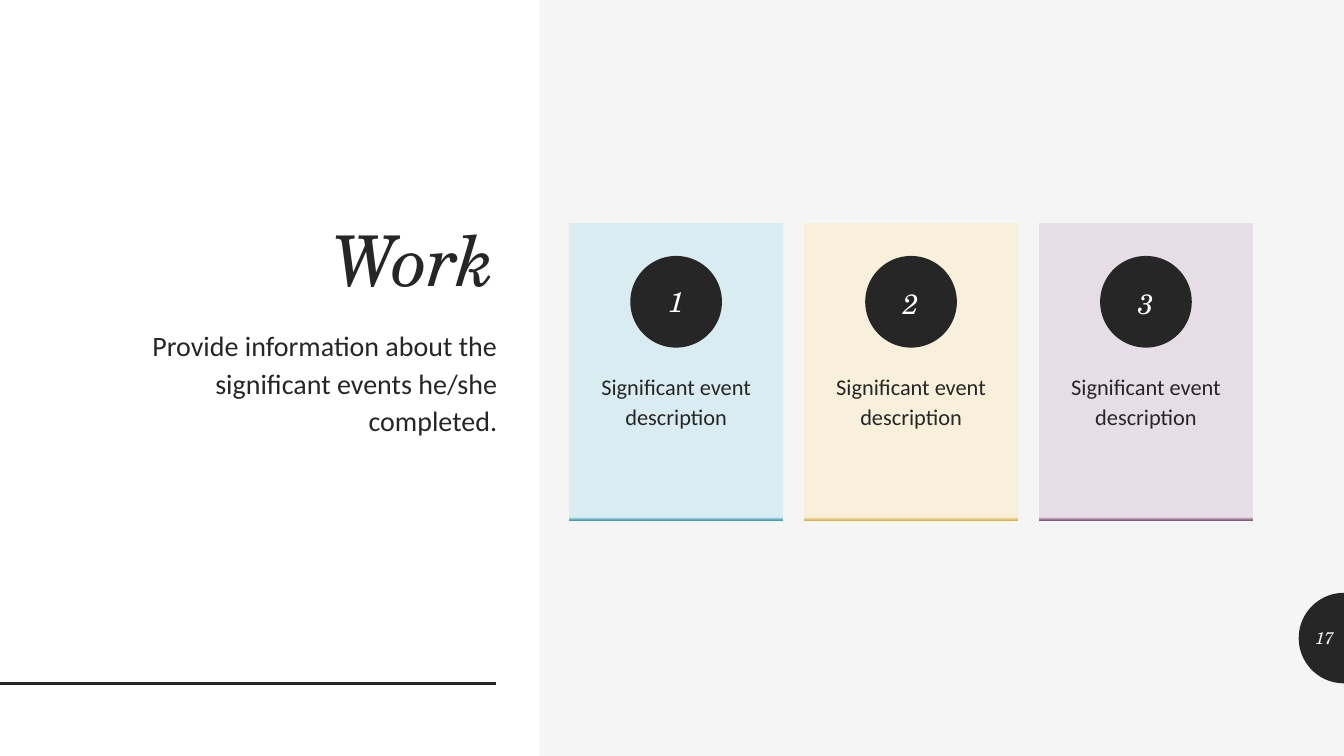
from copy import deepcopy
from math import cos, pi, sin

from lxml import etree
from pptx import Presentation
from pptx.dml.color import RGBColor
from pptx.enum.shapes import MSO_CONNECTOR, MSO_SHAPE as Preset
from pptx.enum.text import MSO_ANCHOR as Anchor, PP_ALIGN as Align
from pptx.oxml.ns import qn
from pptx.util import Cm, Pt

DARK, WHITE, PALE = "262626", "FFFFFF", "F5F5F5"
SERIF, SANS = "TeX Gyre Schola", "Calibri"


def paint(shape, color):
    """Give the shape a flat fill without line or shadow."""
    shape.shadow.inherit = False
    shape.line.fill.background()
    shape.fill.solid()
    shape.fill.fore_color.rgb = RGBColor.from_string(color)


def write(shape, text, font, size, color, align, anchor=Anchor.TOP,
          spacing=1.0, before=0, insets=None):
    """Set one paragraph; insets are (sides, top, bottom) in cm."""
    frame = shape.text_frame
    frame.word_wrap = True
    frame.vertical_anchor = anchor
    if insets:
        sides, top, bottom = insets
        frame.margin_left = frame.margin_right = Cm(sides)
        frame.margin_top, frame.margin_bottom = Cm(top), Cm(bottom)
    para = frame.paragraphs[0]
    para.alignment = align
    para.line_spacing = spacing
    para.space_before = Pt(before)
    span = para.add_run()
    span.text = text
    span.font.name = font
    span.font.size = Pt(size)
    span.font.italic = font == SERIF
    span.font.color.rgb = RGBColor.from_string(color)


deck = Presentation()
deck.slide_width, deck.slide_height = Cm(33.87), Cm(19.05)
page = deck.slides.add_slide(deck.slide_layouts[6])
page.background.fill.solid()
page.background.fill.fore_color.rgb = RGBColor.from_string(PALE)
shapes = page.shapes

# Half disc on the right edge
center_x, center_y, radius = 33.87, 16.08, 1.14
arc = [(Cm(center_x - radius * sin(pi * step / 48)),
        Cm(center_y - radius * cos(pi * step / 48))) for step in range(49)]
builder = shapes.build_freeform(*arc[0])
builder.add_line_segments(arc[1:], close=True)
paint(builder.convert_to_shape(), DARK)

# Left panel and its rule
panel = shapes.add_shape(Preset.RECTANGLE, 0, 0, Cm(13.6), deck.slide_height)
paint(panel, WHITE)
rule = shapes.add_connector(MSO_CONNECTOR.STRAIGHT, 0, Cm(17.22), Cm(12.5), Cm(17.22))
rule.line.color.rgb = RGBColor.from_string(DARK)
rule.line.width = Pt(2)
etree.SubElement(rule._element.spPr, qn("a:effectLst"))

title = shapes.add_textbox(Cm(2.11), Cm(1.55), Cm(10.64), Cm(6.17))
write(title, "Work", SERIF, 50, DARK, Align.RIGHT, Anchor.BOTTOM, spacing=0.9)
summary = shapes.add_textbox(Cm(2.11), Cm(8.05), Cm(10.67), Cm(7.92))
write(summary, "Provide information about the significant events he/she completed.",
      SANS, 20, DARK, Align.RIGHT, spacing=1.12, before=9)

# Event cards: a pale face with a thin coloured lower edge, and a numbered disc
card_width, disc_size, pitch = 5.4, 2.31, 5.92
cards = [("D9ECF1", "439EB7"), ("F8F0DB", "DCB64D"), ("E7DDE7", "835B82")]
for index, (face, edge) in enumerate(cards):
    left = 14.34 + index * pitch
    card = shapes.add_shape(Preset.RECTANGLE, Cm(left), Cm(5.61), Cm(card_width), Cm(7.5))
    paint(card, face)
    card.fill.gradient()
    card.fill.gradient_angle = 270
    for stop, color in zip(card.fill.gradient_stops, (face, edge)):
        stop.color.rgb = RGBColor.from_string(color)
    first_stop = card._element.spPr.find(".//" + qn("a:gs"))
    last_face_stop = deepcopy(first_stop)
    last_face_stop.set("pos", "99000")
    first_stop.addnext(last_face_stop)
    write(card, "Significant event description", SANS, 16, DARK, Align.CENTER,
          spacing=1.12, before=9, insets=(0, 3.71, 0))

    disc = shapes.add_shape(Preset.OVAL, Cm(left + (card_width - disc_size) / 2),
                            Cm(6.45), Cm(disc_size), Cm(disc_size))
    paint(disc, DARK)
    write(disc, str(index + 1), SERIF, 20, WHITE, Align.CENTER, Anchor.MIDDLE,
          spacing=1.12 if index else 1.0, before=9, insets=(0, 0, 0))

page_number = shapes.add_textbox(Cm(32.73), Cm(15.57), Cm(1.14), Cm(1.02))
write(page_number, "17", SERIF, 12, PALE, Align.RIGHT, Anchor.MIDDLE)

deck.save("out.pptx")
